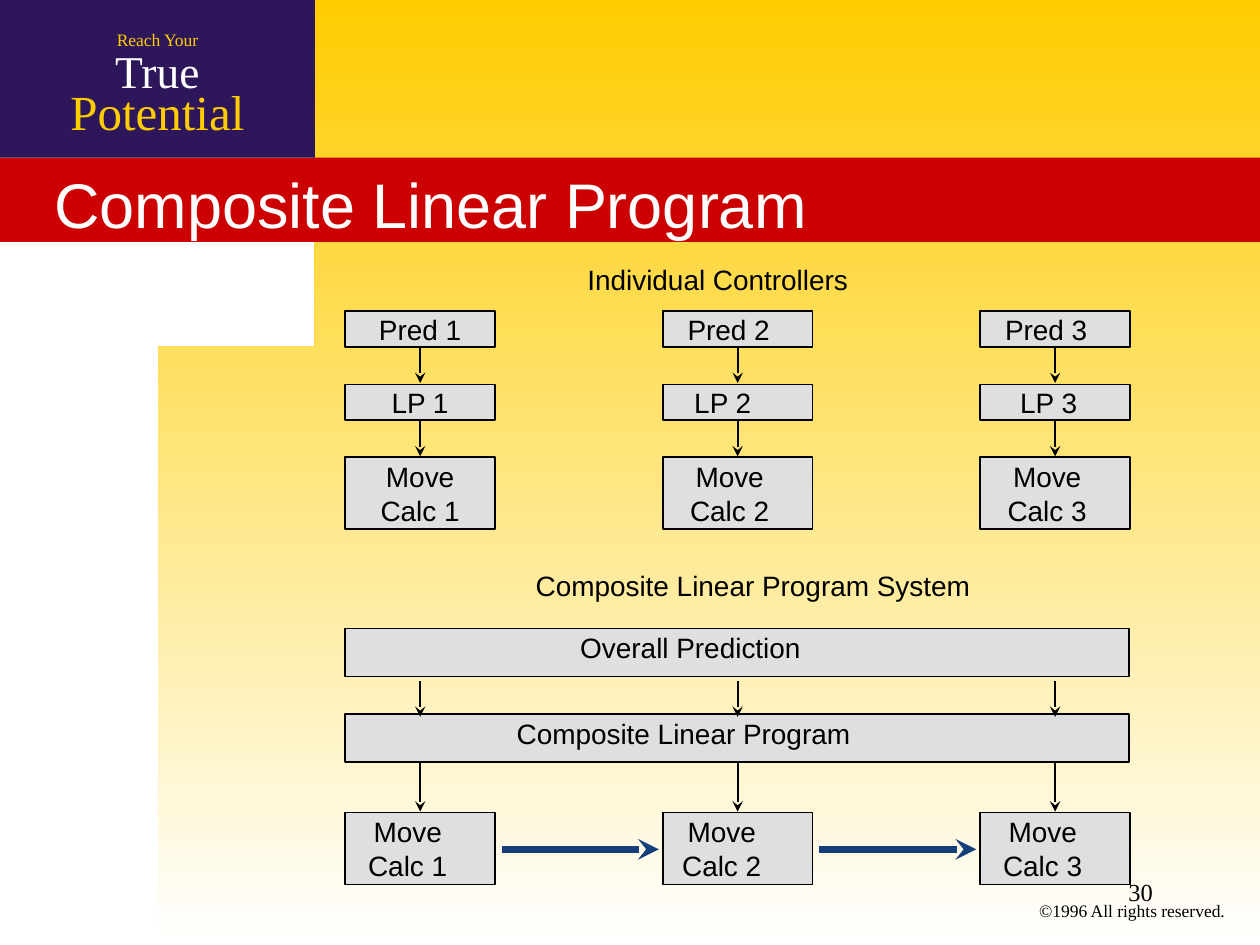
"""Build the Composite Linear Program slide."""
import pptx
import pptx.chart.data
import pptx.dml.color
import pptx.enum.shapes
import pptx.enum.text
import pptx.oxml
import pptx.oxml.ns
import pptx.util

Cm = pptx.util.Cm
Pt = pptx.util.Pt
RGBColor = pptx.dml.color.RGBColor
Align = pptx.enum.text.PP_ALIGN
Anchor = pptx.enum.text.MSO_ANCHOR
RECT = pptx.enum.shapes.MSO_SHAPE.RECTANGLE
LINE = pptx.enum.shapes.MSO_CONNECTOR.STRAIGHT

GOLD = RGBColor(0xFF, 0xCC, 0x00)
WHITE = RGBColor(0xFF, 0xFF, 0xFF)
RED = RGBColor(0xCC, 0x00, 0x00)
PURPLE = RGBColor(0x2D, 0x16, 0x59)
GREY = RGBColor(0xDF, 0xDF, 0xDF)
BLACK = RGBColor(0x00, 0x00, 0x00)
BLUE = RGBColor(0x15, 0x3E, 0x7D)

SERIF = "Times New Roman"
SANS = "Arial"

deck = pptx.Presentation()
deck.slide_width, deck.slide_height = Cm(25.4), Cm(19.05)
slide = deck.slides.add_slide(deck.slide_layouts[6])
shapes = slide.shapes


def write(shape, text, size, font, color, align, anchor=Anchor.TOP):
    frame = shape.text_frame
    frame.word_wrap = True
    frame.vertical_anchor = anchor
    frame.text = text
    for para in frame.paragraphs:
        para.alignment = align
        for run in para.runs:
            run.font.size = Pt(size)
            run.font.name = font
            run.font.color.rgb = color


def arrow(x1, y1, x2, y2, color=BLACK, width=1):
    line = shapes.add_connector(LINE, Cm(x1), Cm(y1), Cm(x2), Cm(y2))
    line.line.color.rgb = color
    line.line.width = Pt(width)
    tail = pptx.oxml.parse_xml(
        '<a:tailEnd %s type="stealth"/>' % pptx.oxml.ns.nsdecls("a"))
    line.line._get_or_add_ln().append(tail)
    props = line._element.spPr
    props.append(pptx.oxml.parse_xml(
        "<a:effectLst %s/>" % pptx.oxml.ns.nsdecls("a")))


edge = [(6.35, 6.99), (3.18, 6.99), (3.18, 19.05), (25.4, 19.05), (25.4, 0)]
path = shapes.build_freeform(Cm(6.35), 0, scale=1.0)
path.add_line_segments([(Cm(x), Cm(y)) for x, y in edge], close=True)
panel = path.convert_to_shape()
panel.shadow.inherit = False
panel.line.fill.background()
panel.fill.gradient()
panel.fill.gradient_angle = 270
for stop, color, place in zip(panel.fill.gradient_stops, (GOLD, WHITE), (0, 1)):
    stop.color.rgb = color
    stop.position = place

for y, width, height, color in [(3.18, 25.4, 1.7, RED), (0, 6.35, 3.18, PURPLE)]:
    band = shapes.add_shape(RECT, 0, Cm(y), Cm(width), Cm(height))
    band.shadow.inherit = False
    band.fill.solid()
    band.fill.fore_color.rgb = color
    band.line.fill.background()

labels = [
    ("Potential", 0.4, 1.52, 5.55, 1.45, 28, SERIF, GOLD, Align.CENTER, Anchor.TOP),
    ("Reach Your", 0.4, 0.46, 5.55, 0.69, 10, SERIF, GOLD, Align.CENTER, Anchor.TOP),
    ("True", 0.4, 0.74, 5.55, 1.35, 26, SERIF, WHITE, Align.CENTER, Anchor.TOP),
    ("©1996 All rights reserved.", 20.7, 18.01, 4.6, 0.69, 10, SERIF, BLACK,
     Align.LEFT, Anchor.TOP),
    ("30", 18.21, 17.35, 5.28, 1.27, 14, SERIF, BLACK, Align.RIGHT, Anchor.MIDDLE),
    ("Composite Linear Program", 0.84, 3.53, 24.54, 1.12, 36, SANS, WHITE,
     Align.LEFT, Anchor.MIDDLE),
    ("Individual Controllers", 11.27, 5.16, 6.4, 0.94, 16, SANS, BLACK,
     Align.CENTER, Anchor.TOP),
    ("Composite Linear Program System", 10.18, 11.33, 10, 0.94, 16, SANS, BLACK,
     Align.CENTER, Anchor.TOP),
]
for text, x, y, width, height, *style in labels:
    box = shapes.add_textbox(Cm(x), Cm(y), Cm(width), Cm(height))
    write(box, text, *style)

LEFT, STEP, WIDE = 6.96, 6.4, 3.02
rows = [
    ("Pred %d", 6.27, 0.72, (0, 0.36, 0.36)),
    ("LP %d", 7.75, 0.72, (0, 0.6, 0.26)),
    ("Move\nCalc %d", 9.22, 1.45, (0, 0.32, 0.32)),
    ("Move\nCalc %d", 16.38, 1.45, (0.5, 0.64, 0.5)),
]
cells = [(text % (i + 1), LEFT + STEP * i, y, WIDE, height, pad, 0)
         for text, y, height, pads in rows for i, pad in enumerate(pads)]
cells += [("Overall Prediction", LEFT, 12.67, 15.8, 0.97, 1.88, 0.2),
          ("Composite Linear Program", LEFT, 14.4, 15.8, 0.97, 2.16, 0.2)]
for text, x, y, width, height, pad, base in cells:
    cell = shapes.add_shape(RECT, Cm(x), Cm(y), Cm(width), Cm(height))
    cell.shadow.inherit = False
    cell.fill.solid()
    cell.fill.fore_color.rgb = GREY
    cell.line.color.rgb = BLACK
    cell.line.width = Pt(1)
    frame = cell.text_frame
    frame.margin_left = frame.margin_top = 0
    frame.margin_right, frame.margin_bottom = Cm(pad), Cm(base)
    write(cell, text, 16, SANS, BLACK, Align.CENTER, Anchor.MIDDLE)

for top, end in [(6.99, 7.72), (8.48, 9.2), (13.72, 14.45), (15.39, 16.36)]:
    for i in range(3):
        mid = LEFT + WIDE / 2 + STEP * i
        arrow(mid, top, mid, end)

for i in range(2):
    start = 10.11 + STEP * i
    arrow(start, 17.12, start + 3.17, 17.12, BLUE, 4)

deck.save("out.pptx")
